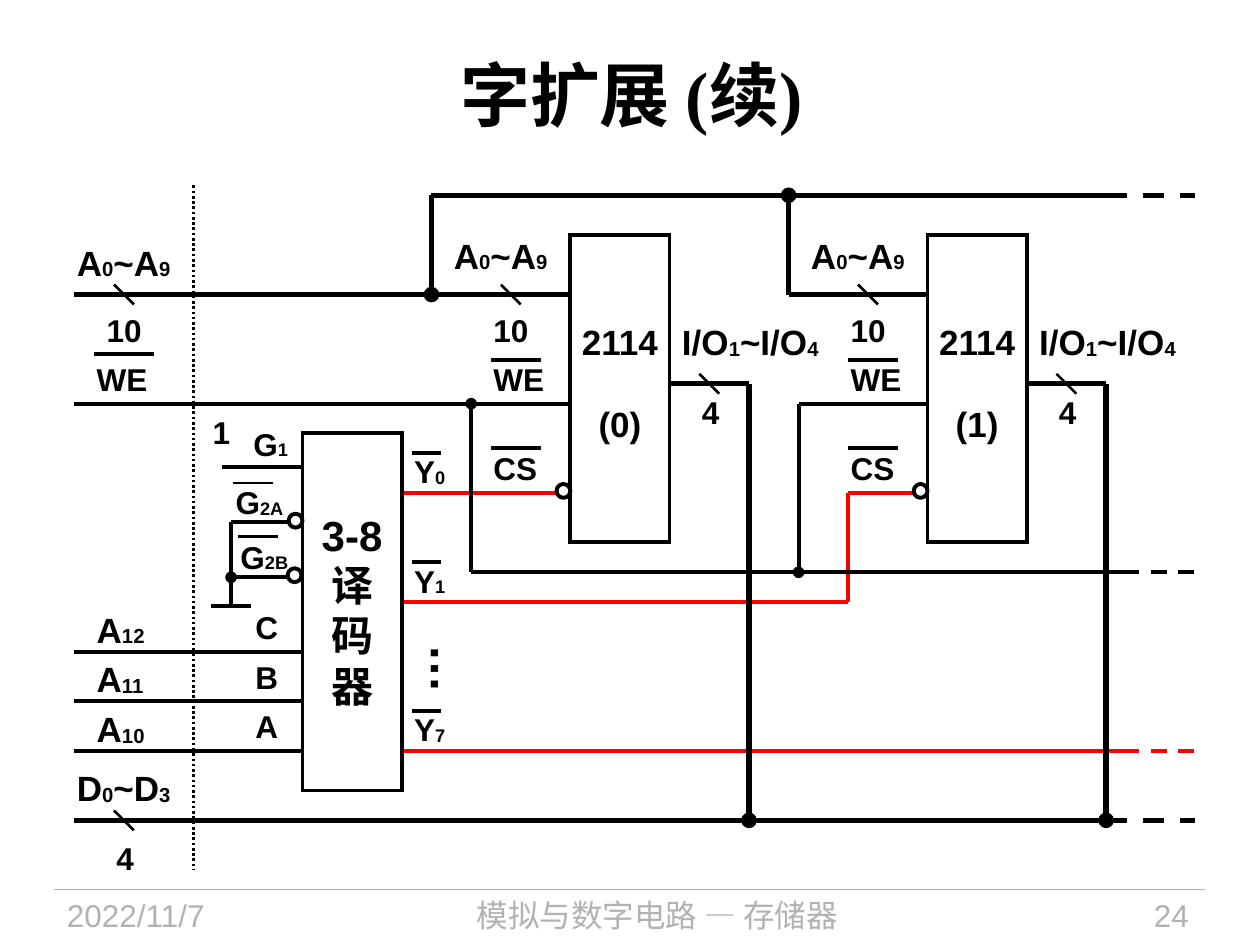
from dataclasses import dataclass

from lxml.etree import SubElement
from pptx import Presentation
from pptx.dml.color import RGBColor as RGB
from pptx.enum.dml import MSO_LINE as Dash
from pptx.enum.shapes import MSO_CONNECTOR as Conn, MSO_SHAPE as Shape
from pptx.enum.text import MSO_ANCHOR as Anchor, MSO_AUTO_SIZE as Auto, PP_ALIGN as Al
from pptx.oxml.ns import qn
from pptx.util import Inches, Mm, Pt


@dataclass(frozen=True)
class Theme:
    ink: RGB = RGB(0, 0, 0)
    red: RGB = RGB(255, 0, 0)
    gray: RGB = RGB(0xB2, 0xB2, 0xB2)
    paper: RGB = RGB(255, 255, 255)
    latin: str = "Arial"
    cjk: str = "Noto Sans CJK SC"
    serif: str = "Times New Roman"
    title: int = 40
    dots: int = 28
    block: int = 24
    bus: int = 20
    pin: int = 18
    thick: float = 3
    wire: float = 2.25
    thin: float = 1.5
    hair: float = 0.75


T = Theme()
GRID = Mm(2)
LEFT, TOP = Inches(0.59), Inches(1.55)
CHIP_STEP = 36
WE_WIDTH = 8.4

prs = Presentation()
prs.slide_width, prs.slide_height = Inches(10), Inches(7.5)
s = prs.slides.add_slide(prs.slide_layouts[5])


def line(c1, r1, c2, r2, width=T.wire, color=T.ink, dash=None, dot=None):
    ln = s.shapes.add_connector(
        Conn.STRAIGHT, round(LEFT + c1 * GRID), round(TOP + r1 * GRID),
        round(LEFT + c2 * GRID), round(TOP + r2 * GRID))
    ln.line.color.rgb = color
    ln.line.width = Pt(width)
    if dash:
        ln.line.dash_style = dash
    if dot:
        SubElement(ln.line._get_or_add_ln(), qn(f"a:{dot}"), type="oval")
    SubElement(ln._element.spPr, qn("a:effectLst"))


def label(c, r, w, text, size=T.pin, h=5, align=Al.LEFT, color=T.ink, bold=True, wrap=False):
    sp = s.shapes.add_textbox(round(LEFT + c * GRID), round(TOP + r * GRID),
                              round(w * GRID), round(h * GRID))
    tf = sp.text_frame
    tf.word_wrap = wrap
    tf.auto_size = Auto.NONE if wrap else Auto.SHAPE_TO_FIT_TEXT
    for i, row in enumerate(text.split("\n")):
        p = tf.add_paragraph() if i else tf.paragraphs[0]
        p.alignment = align
        for k, part in enumerate(row.split("|")):
            if not part:
                continue
            run = p.add_run()
            run.text = part
            f = run.font
            f.name, f.size, f.bold = T.latin, Pt(size), bold
            f.color.rgb = color
            rpr = run._r.get_or_add_rPr()
            SubElement(rpr, qn("a:ea"), typeface=T.cjk)
            if k % 2:
                rpr.set("baseline", "-2000")
    return sp


title = s.shapes.title
title.left, title.top = Inches(0.51), Inches(0.28)
title.width, title.height = Inches(9), Inches(0.93)
tf = title.text_frame
tf.text = "字扩展 (续)"
tf.vertical_anchor = Anchor.MIDDLE
p = tf.paragraphs[0]
p.alignment = Al.CENTER
f = p.runs[0].font
f.name, f.size, f.bold = T.serif, Pt(T.title), True
f.color.rgb = T.ink
SubElement(p.runs[0]._r.get_or_add_rPr(), qn("a:ea"), typeface=T.cjk)

line(-2, 70, 114, 70, T.hair, T.gray)
for c, w, text, align in [(-2, 24, "2022/11/7", Al.LEFT),
                          (23, 71.5, "模拟与数字电路 — 存储器", Al.CENTER),
                          (96.6, 17, "24", Al.RIGHT)]:
    label(c, 70, w, text, h=5.6, align=align, color=T.gray, bold=False, wrap=True)

for c1, r1, c2, r2 in [(33, 30, 50, 30), (78, 30, 86, 30), (33, 41, 78, 41),
                       (78, 30, 78, 41), (33, 56, 107, 56)]:
    line(c1, r1, c2, r2, color=T.red)

for r, start, end, width, color in [(0, 36, 104, T.thick, T.ink), (63, 0, 104, T.thick, T.ink),
                                    (38, 40, 106, T.wire, T.ink), (56, 33, 107, T.wire, T.red)]:
    if color == T.ink:
        line(start, r, end, r, width)
    line(104 if width == T.thick else 103, r, 113, r, width, color, Dash.DASH)

line(12, -1, 12, 68, T.thin, dash=Dash.ROUND_DOT)
for r in (10, 63):
    line(4, r - 1, 6, r + 1, T.thin)

boxes = [(23, 24, 36)]
bubbles = [(21.6, 32.1), (21.5, 37.6)]
for n, (addr, we, we_drop, addr_dot, we_dot) in enumerate([(0, 0, 40, "tailEnd", "headEnd"),
                                                           (72, 73, 73, "headEnd", "tailEnd")]):
    c = n * CHIP_STEP
    boxes.append((50 + c, 4, 31))
    bubbles.append((48.6 + c, 29.1))
    line(addr, 10, 50 + c, 10, T.thick)
    line(we, 21, 50 + c, 21)
    line(60 + c, 19, 68 + c, 19, T.thick)
    line(68 + c, 19, 68 + c, 63, T.thick, dot="tailEnd")
    line(36 + c, 0, 36 + c, 10, T.thick, dot=addr_dot)
    line(we_drop, 21, we_drop, 38, dot=we_dot)
    line(43 + c, 9, 45 + c, 11, T.thin)
    line(63 + c, 18, 65 + c, 20, T.thin)
    for r in (16.6, 25.5):
        line(42 + c, r, 47 + c, r)
    label(37 + c, 3.3, 12.3, "A|0|~A|9", T.bus)
    label(41 + c, 11, 6.1, "10")
    label(41 + c, 16, WE_WIDTH, "WE")
    label(41 + c, 25, 7, "CS")
    label(60 + c, 12, 16.5, "I/O|1|~I/O|4", T.bus)
    label(62 + c, 19.3, 4.3, "4")
    sp = label(48 + c, 12, 14, f"2114\n({n})", T.bus, h=14, align=Al.CENTER, wrap=True)
    sp.text_frame.paragraphs[1].space_before = Pt(23)

for c, r, h in boxes:
    sp = s.shapes.add_shape(Shape.RECTANGLE, LEFT + c * GRID, TOP + r * GRID, 10 * GRID, h * GRID)
    sp.shadow.inherit = False
    sp.fill.background()
    sp.line.color.rgb, sp.line.width = T.ink, Pt(T.wire)
    SubElement(sp.line._get_or_add_ln(), qn("a:miter"), lim="800000")

label(22, 31, 12, "3-8\n译\n码\n器", T.block, h=21.6, align=Al.CENTER, wrap=True)
for i, (pin, bit) in enumerate(zip("CBA", (12, 11, 10))):
    r = 41 + 5 * i
    label(17, r, 4.8, pin)
    label(1, r, 7.6, f"A|{bit}", T.bus)
    line(0, r + 5, 23, r + 5)

for out, r in [(0, 26), (1, 37), (7, 52)]:
    label(33, r - 0.7, 5.8, f"Y|{out}")
    line(34, r, 37, r)
sp = label(33, 44, 8.5, "…", T.dots, h=6.2)
sp.text_frame._txBody.bodyPr.set("vert", "eaVert")

for c, r, w, text, size in [(-1, 4, 12.3, "A|0|~A|9", T.bus), (-1, 57, 12.3, "D|0|~D|3", T.bus),
                            (2, 11, 6.1, "10", T.pin), (1, 16, WE_WIDTH, "WE", T.pin),
                            (3, 64.3, 4.3, "4", T.pin), (12.7, 21.3, 4.3, "1", T.pin),
                            (16.8, 22.5, 6.2, "G|1", T.pin), (15, 28.4, 7.7, "G|2A", T.pin),
                            (15.5, 33.9, 7.7, "G|2B", T.pin)]:
    label(c, r, w, text, size)

line(2, 16, 8, 16)
line(14.9, 27.4, 23, 27.4)
line(15.8, 32.9, 22.8, 32.9)
line(15.8, 38.5, 22.8, 38.5, dot="headEnd")
line(15.8, 32.9, 15.8, 41.4)
line(13.8, 41.4, 17.8, 41.4)
for c, r in [(16, 29), (16.5, 34.4)]:
    line(c, r, c + 4, r, T.thin)

for c, r in bubbles:
    sp = s.shapes.add_shape(Shape.OVAL, round(LEFT + c * GRID), round(TOP + r * GRID),
                            round(1.4 * GRID), round(1.4 * GRID))
    sp.shadow.inherit = False
    sp.fill.solid()
    sp.fill.fore_color.rgb = T.paper
    sp.line.color.rgb, sp.line.width = T.ink, Pt(T.wire)

prs.save("out.pptx")
